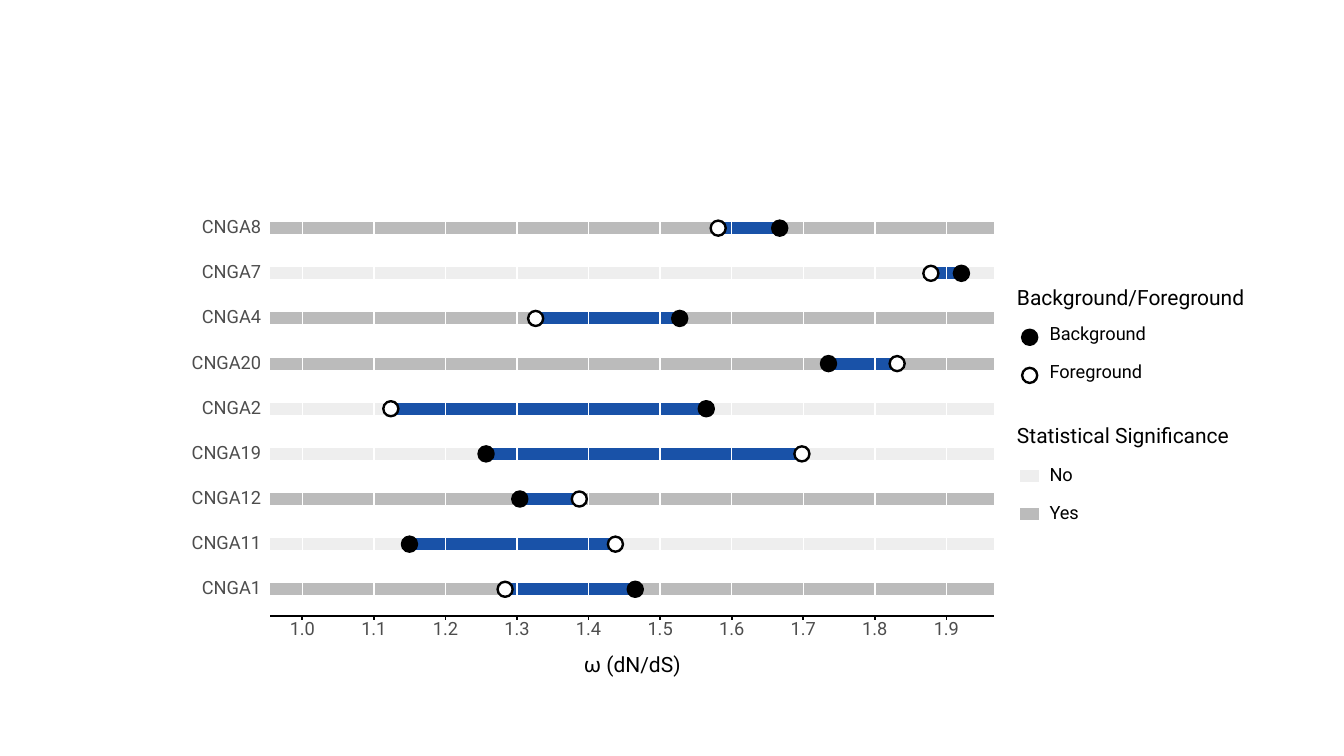
from dataclasses import dataclass

from lxml.etree import SubElement
from pptx import Presentation
from pptx.dml.color import RGBColor
from pptx.enum.shapes import MSO_CONNECTOR as CONN, MSO_SHAPE as SHAPE
from pptx.enum.text import MSO_ANCHOR as ANCHOR, PP_ALIGN as ALIGN
from pptx.oxml.ns import qn
from pptx.slide import Slide
from pptx.util import Cm, Pt

COLORS = {
    "background": "000000", "foreground": "FFFFFF", "span": "1952A8",
    "yes": "BBBBBB", "no": "EEEEEE", "grid": "FFFFFF",
    "ink": "000000", "label": "4D4D4D",
}
FONT = "Roboto"
LEFT, RIGHT, TOP, AXIS_Y = 6.81, 25.06, 5.08, 15.53
TICK_X, TICK_STEP, TICK_COUNT = 7.62, 16.23 / 9, 10
ROW_Y, ROW_STEP = 5.75, 9.1 / 8
BAR_PT, GRID_PT, AXIS_PT, RING_PT = 8.54, 1.07, 1.28, 1.7
DOT = 0.38
KEY_X, KEY_TEXT_X, KEY_STEP = 25.95, 26.45, 0.96


@dataclass
class Gene:
    """A row: dot centres in cm from the slide's left edge, and significance."""
    name: str
    background: float
    foreground: float
    significant: str


@dataclass
class Legend:
    """A legend title and its keys, with text widths in cm."""
    title: str
    title_width: float
    title_y: float
    key_y: float
    text_shift: float
    keys: list[tuple[str, float]]


GENES = [
    Gene("CNGA8", 19.65, 18.1, "yes"),
    Gene("CNGA7", 24.23, 23.46, "no"),
    Gene("CNGA4", 17.13, 13.5, "yes"),
    Gene("CNGA20", 20.88, 22.61, "yes"),
    Gene("CNGA2", 17.8, 9.85, "no"),
    Gene("CNGA19", 12.25, 20.21, "no"),
    Gene("CNGA12", 13.1, 14.6, "yes"),
    Gene("CNGA11", 10.32, 15.51, "no"),
    Gene("CNGA1", 16.01, 12.73, "yes"),
]
DOT_LEGEND = Legend("Background/Foreground", 6.2, 7.54, 8.5, -0.05,
                    [("Background", 2.8), ("Foreground", 2.8)])
BAR_LEGEND = Legend("Statistical Significance", 5.8, 11.02, 11.99, 0,
                    [("No", 1), ("Yes", 1.2)])


def add_line(s: Slide, x1: float, y1: float, x2: float, y2: float,
             color: str, weight: float) -> None:
    """Draw a straight line without a shadow."""
    c = s.shapes.add_connector(CONN.STRAIGHT, Cm(x1), Cm(y1), Cm(x2), Cm(y2))
    c.line.color.rgb = RGBColor.from_string(COLORS[color])
    c.line.width = Pt(weight)
    SubElement(c._element.spPr, qn("a:effectLst"))


def add_dot(s: Slide, x: float, y: float, color: str) -> None:
    """Draw an outlined dot centred on a point."""
    sp = s.shapes.add_shape(SHAPE.OVAL, Cm(x - DOT / 2), Cm(y - DOT / 2), Cm(DOT), Cm(DOT))
    sp.shadow.inherit = False
    sp.fill.solid()
    sp.fill.fore_color.rgb = RGBColor.from_string(COLORS[color])
    sp.line.color.rgb = RGBColor.from_string(COLORS["ink"])
    sp.line.width = Pt(RING_PT)


def add_text(s: Slide, text: str, x: float, y: float, width: float,
             color: str = "ink", size: int = 13, align: ALIGN = ALIGN.LEFT) -> None:
    """Write one line of text, vertically centred on y."""
    height = 0.36
    sp = s.shapes.add_textbox(Cm(x), Cm(y - height / 2), Cm(width), Cm(height))
    tf = sp.text_frame
    tf.word_wrap = False
    tf.vertical_anchor = ANCHOR.MIDDLE
    tf.margin_left = tf.margin_right = tf.margin_top = tf.margin_bottom = 0
    p = tf.paragraphs[0]
    p.alignment = align
    p.line_spacing = Pt(size)
    r = p.add_run()
    r.text = text
    r.font.name = FONT
    r.font.size = Pt(size)
    r.font.color.rgb = RGBColor.from_string(COLORS[color])


def add_plot(s: Slide) -> None:
    """Draw bars, spans, grid, dots and row labels."""
    rows = [(ROW_Y + i * ROW_STEP, gene) for i, gene in enumerate(GENES)]
    for y, gene in rows:
        add_line(s, LEFT, y, RIGHT, y, gene.significant, BAR_PT)
        add_line(s, gene.background, y, gene.foreground, y, "span", BAR_PT)
    for i in range(TICK_COUNT):
        x = TICK_X + i * TICK_STEP
        add_line(s, x, TOP, x, AXIS_Y, "grid", GRID_PT)
    width = 2
    for y, gene in rows:
        add_dot(s, gene.background, y, "background")
        add_dot(s, gene.foreground, y, "foreground")
        add_text(s, gene.name, 6.58 - width, y, width, "label", align=ALIGN.RIGHT)


def add_axis(s: Slide) -> None:
    """Draw the horizontal axis with ticks, tick labels and title."""
    add_line(s, LEFT, AXIS_Y, RIGHT, AXIS_Y, "ink", AXIS_PT)
    width = 1
    for i in range(TICK_COUNT):
        x = TICK_X + i * TICK_STEP
        add_line(s, x, AXIS_Y, x, AXIS_Y + 0.1, "ink", AXIS_PT)
        add_text(s, f"{1 + i / 10:.1f}", x - width / 2, 15.88, width, "label", align=ALIGN.CENTER)
    title_width = 3
    add_text(s, "ω (dN/dS)", (LEFT + RIGHT - title_width) / 2, 16.79, title_width,
             size=15, align=ALIGN.CENTER)


def add_legend(s: Slide, legend: Legend) -> None:
    """Draw a legend with dot keys or bar keys."""
    add_text(s, legend.title, 25.63, legend.title_y, legend.title_width, size=15)
    for i, (name, width) in enumerate(legend.keys):
        y = legend.key_y + i * KEY_STEP
        color = name.lower()
        if legend is DOT_LEGEND:
            add_dot(s, KEY_X, y, color)
        else:
            add_line(s, KEY_X - 0.24, y, KEY_X + 0.24, y, color, BAR_PT)
        add_text(s, name, KEY_TEXT_X, y + legend.text_shift, width)


def main() -> None:
    """Build the slide and save it."""
    prs = Presentation()
    prs.slide_width, prs.slide_height = Cm(33.87), Cm(19.05)
    s = prs.slides.add_slide(prs.slide_layouts[6])
    add_plot(s)
    add_axis(s)
    for legend in (DOT_LEGEND, BAR_LEGEND):
        add_legend(s, legend)
    prs.save("out.pptx")


if __name__ == "__main__":
    main()
